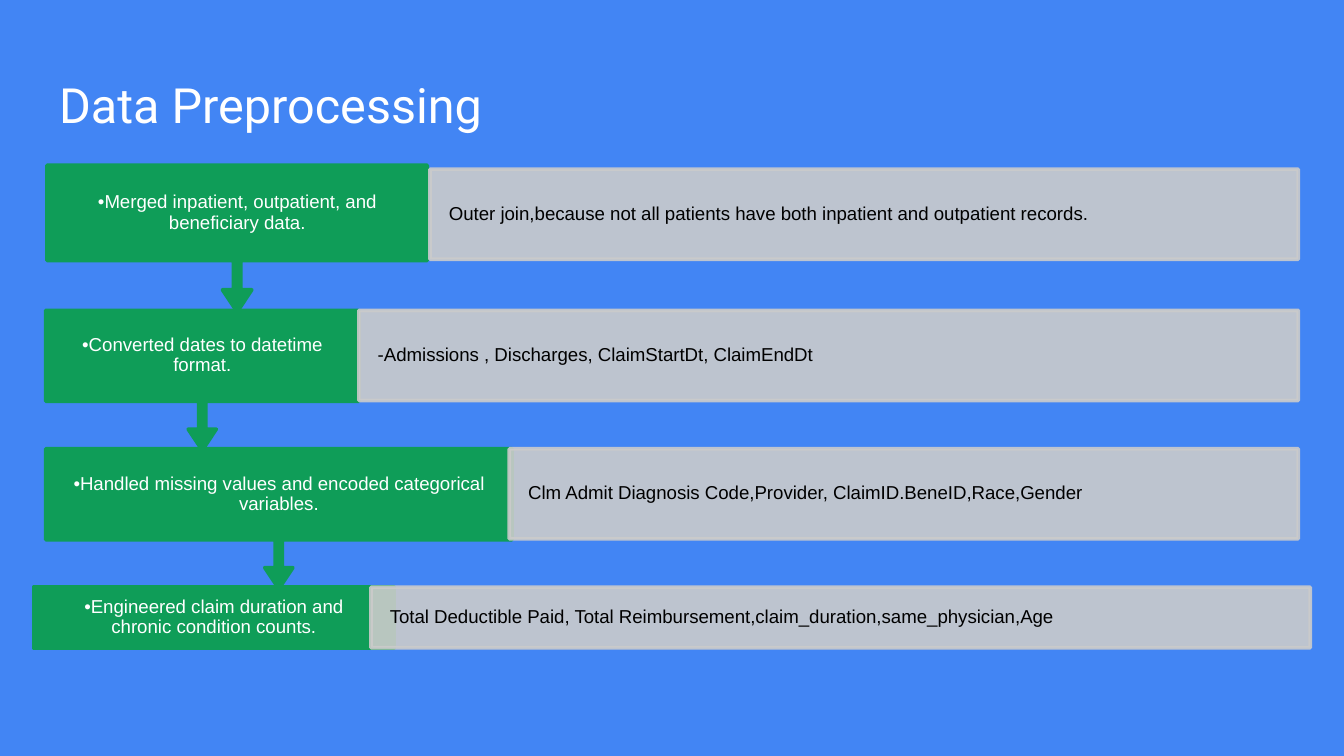
from typing import NamedTuple

from lxml.etree import SubElement as Sub
from pptx import Presentation
from pptx.dml.color import RGBColor as Rgb
from pptx.enum.shapes import MSO_SHAPE as Kind
from pptx.enum.text import MSO_ANCHOR as Anchor, MSO_AUTO_SIZE as Fit, PP_ALIGN as Align
from pptx.oxml.ns import qn
from pptx.util import Emu, Pt

SCALE = 4572  # EMU per px, 200 px to the inch
COLORS = {"back": "4285F4", "step": "0F9D58", "note": "CBCBCB",
          "light": "FFFFFF", "dark": "000000"}
ARROW = (0.05, 0.1, 0.15, 0.65)


class Box(NamedTuple):
    left: int
    top: int
    width: int
    height: int


class Step(NamedTuple):
    label: str
    note: str
    head: Box
    body: Box
    arrow: bool = True


STEPS = [
    Step("•Merged inpatient, outpatient, and beneficiary data.",
         "Outer join,because not all patients have both inpatient and outpatient records.",
         Box(70, 246, 566, 218), Box(640, 252, 1292, 134)),
    Step("•Converted dates to datetime format.",
         "-Admissions , Discharges, ClaimStartDt, ClaimEndDt",
         Box(68, 462, 466, 208), Box(534, 462, 1398, 134)),
    Step("•Handled missing values and encoded categorical variables.",
         "Clm Admit Diagnosis Code,Provider, ClaimID.BeneID,Race,Gender",
         Box(68, 668, 694, 208), Box(758, 668, 1174, 134)),
    Step("•Engineered claim duration and chronic condition counts.",
         "Total Deductible Paid, Total Reimbursement,claim_duration,same_physician,Age",
         Box(50, 874, 536, 90), Box(552, 874, 1398, 90), arrow=False),
]


def px(size: int) -> Emu:
    return Emu(size * SCALE)


def hue(name: str) -> Rgb:
    return Rgb.from_string(COLORS[name])


def write(shape, text: str, font: str, size: int, color: str, align, pad: tuple) -> None:
    """Set one paragraph, with pad as (side, top and bottom) insets."""
    frame = shape.text_frame
    frame.word_wrap = True
    frame.auto_size = Fit.NONE
    frame.vertical_anchor = Anchor.MIDDLE
    frame.margin_left = frame.margin_right = px(pad[0])
    frame.margin_top = frame.margin_bottom = px(pad[1])
    para = frame.paragraphs[0]
    para.alignment = align
    para.line_spacing = 0.9
    run = para.add_run()
    run.text = text
    run.font.name = font
    run.font.size = Pt(size)
    run.font.color.rgb = hue(color)


def add_box(shapes, kind, box: Box, color: str):
    shape = shapes.add_shape(kind, *map(px, box))
    shape.shadow.inherit = False
    shape.fill.solid()
    shape.fill.fore_color.rgb = hue(color)
    shape.line.color.rgb = hue(color)
    shape.line.width = Pt(2)
    return shape


def fade(shape, share: int) -> None:
    """Make fill and line opaque to the given percentage."""
    for tone in shape._element.spPr.iter(qn("a:srgbClr")):
        Sub(tone, qn("a:alpha"), val=str(share * 1000))


def add_step(shapes, step: Step) -> None:
    kind = Kind.DOWN_ARROW_CALLOUT if step.arrow else Kind.RECTANGLE
    head = add_box(shapes, kind, step.head, "step")
    if step.arrow:
        for i, value in enumerate(ARROW):
            head.adjustments[i] = value
    write(head, step.label, "Arial", 10, "light", Align.CENTER, (34, 16))

    body = add_box(shapes, Kind.RECTANGLE, step.body, "note")
    fade(body, 90)
    write(body, step.note, "Arial", 10, "dark", Align.LEFT, (28, 28))


def main() -> None:
    deck = Presentation()
    deck.slide_width, deck.slide_height = px(2000), px(1125)
    slide = deck.slides.add_slide(deck.slide_layouts[5])
    slide.background.fill.solid()
    slide.background.fill.fore_color.rgb = hue("back")

    title = slide.shapes.title
    title.left, title.top, title.width, title.height = map(px, Box(68, 98, 1864, 126))
    write(title, "Data Preprocessing", "Roboto", 26, "light", Align.LEFT, (20, 20))

    # Each arrow tip lies over the step below it
    for step in reversed(STEPS):
        add_step(slide.shapes, step)
    deck.save("out.pptx")


if __name__ == "__main__":
    main()
